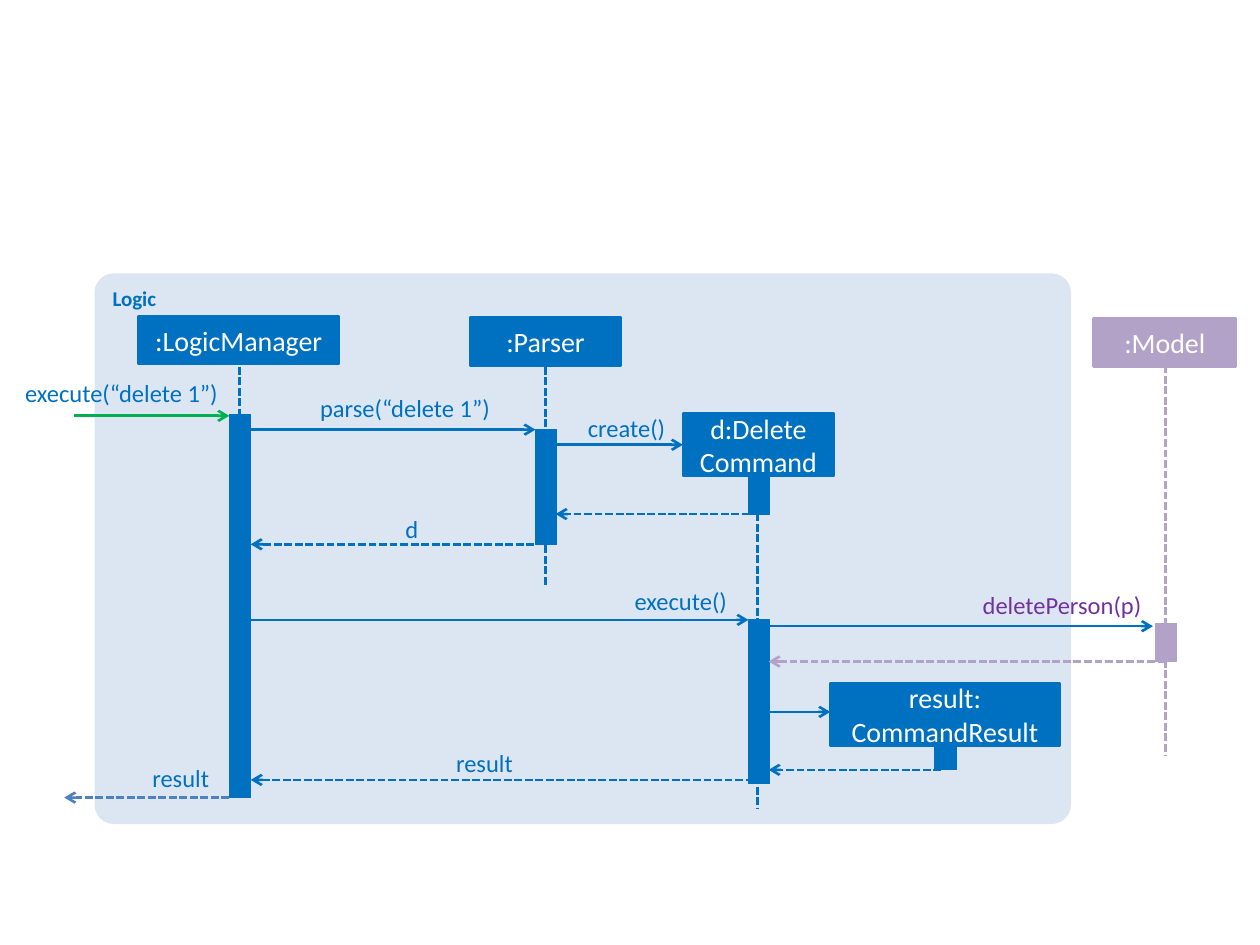
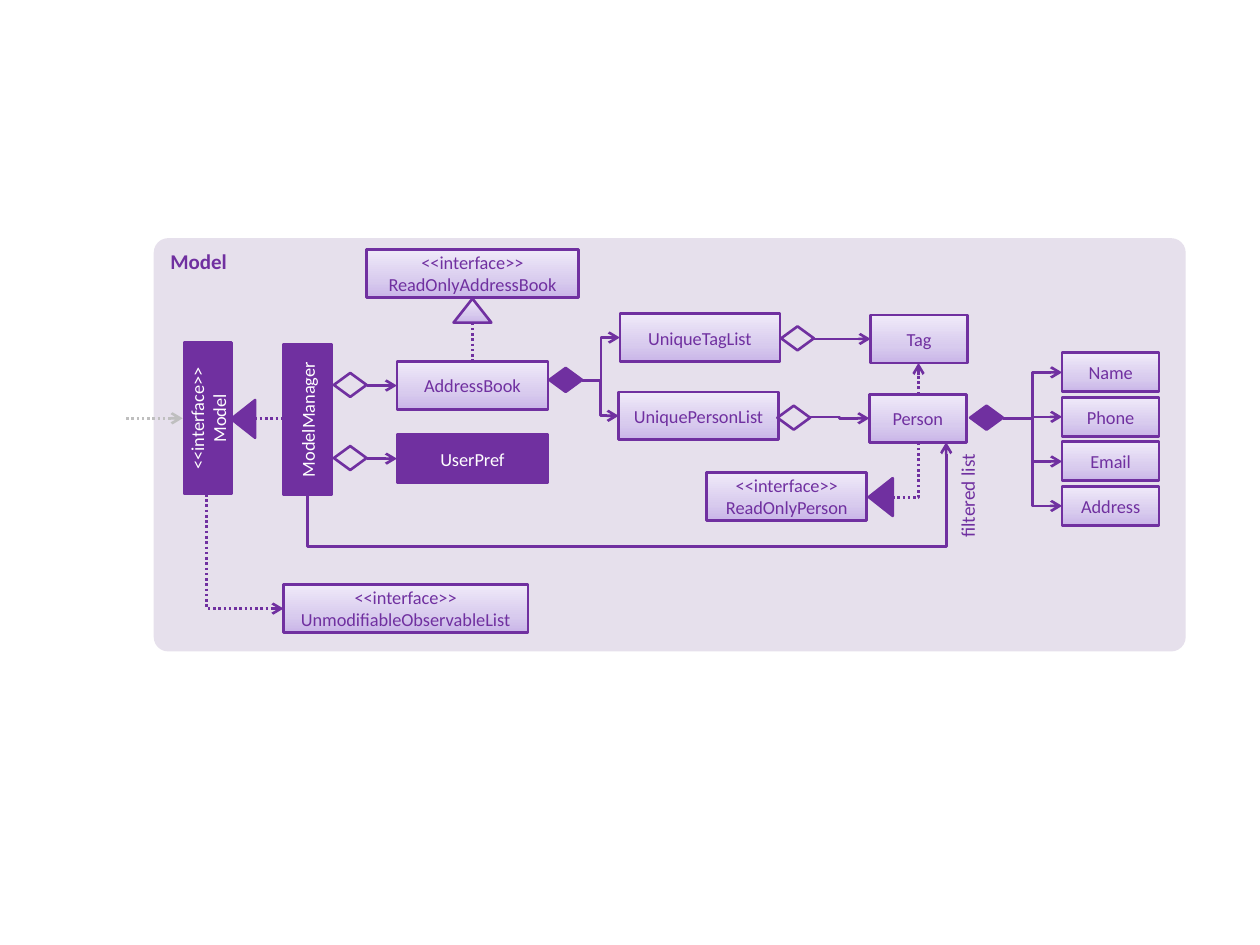
import copy

import pptx
import pptx.dml.color
import pptx.enum.dml
import pptx.enum.shapes
import pptx.enum.text
import pptx.oxml
import pptx.oxml.ns
import pptx.util

# Shared look
BLUE, SKY, STEEL = "0070C0", "DCE6F2", "4F81BD"
GRAPE, LILAC, MIST = "7030A0", "B3A2C7", "E6E0EC"
WHITE, GREEN, GRAY = "FFFFFF", "00B050", "BFBFBF"
SHADE = [(0, "C9B5E8"), (0.35, "D8CBEE"), (1, "F0EAF9")]
FONT = "Calibri"
COLS, ROWS = 100, 75  # the slide is a grid of tenths of an inch

KIND = pptx.enum.shapes.MSO_SHAPE
JOIN = pptx.enum.shapes.MSO_CONNECTOR
DASH = pptx.enum.dml.MSO_LINE
SIDE = pptx.enum.text.PP_ALIGN
ANCHOR = pptx.enum.text.MSO_ANCHOR
DASHES = {"dash": DASH.SQUARE_DOT, "dot": DASH.ROUND_DOT}


def hue(code):
    return pptx.dml.color.RGBColor.from_string(code)


def cell(count):
    return pptx.util.Inches(count / 10)


def write(frame, text, size=16, color=WHITE, bold=False,
          align=SIDE.CENTER, anchor=ANCHOR.MIDDLE):
    """Fill a frame; newline splits paragraphs, vertical tab breaks a line."""
    frame.text = text
    frame.word_wrap = True
    frame.vertical_anchor = anchor
    for para in frame.paragraphs:
        para.alignment = align
        for run in para.runs:
            run.font.name, run.font.size = FONT, pptx.util.Pt(size)
            run.font.bold, run.font.color.rgb = bold, hue(color)


def blend(shape):
    """Three-stop shade, darkest at the bottom."""
    shape.fill.gradient()
    shape.fill.gradient_angle = 90
    stops = shape._element.spPr.find(".//" + pptx.oxml.ns.qn("a:gsLst"))
    stops.append(copy.deepcopy(stops[0]))
    for stop, (place, code) in zip(shape.fill.gradient_stops, SHADE):
        stop.position, stop.color.rgb = place, hue(code)


def block(page, at, fill=None, line=None, width=1.5, kind=KIND.RECTANGLE,
          turn=0, text="", **form):
    shape = page.shapes.add_shape(kind, *map(cell, at))
    shape.shadow.inherit = False
    shape.rotation = turn
    if fill == SHADE:
        blend(shape)
    elif fill:
        shape.fill.solid()
        shape.fill.fore_color.rgb = hue(fill)
    else:
        shape.fill.background()
    if line:
        shape.line.color.rgb = hue(line)
        shape.line.width = pptx.util.Pt(width)
    else:
        shape.line.fill.background()
    if text:
        write(shape.text_frame, text, **form)
    return shape


def panel(page, at, fill, text, color):
    shape = block(page, at, fill, kind=KIND.ROUNDED_RECTANGLE, text=text,
                  size=12, color=color, bold=True, align=SIDE.LEFT,
                  anchor=ANCHOR.TOP)
    shape.adjustments[0] = 0.035


def label(page, at, text, pad=0, turn=0, **form):
    area = page.shapes.add_textbox(*map(cell, at))
    area.rotation = turn
    frame = area.text_frame
    if not pad:
        frame.margin_left = frame.margin_right = 0
        frame.margin_top = frame.margin_bottom = 0
    write(frame, text, align=SIDE.RIGHT, anchor=ANCHOR.TOP, **form)
    frame.auto_size = pptx.enum.text.MSO_AUTO_SIZE.SHAPE_TO_FIT_TEXT


def link(page, start, end, color, dash=None, arrow=True, bends=0,
         turn=0, flips="", tune=()):
    """Line from start to end; bends, turn and flips shape an elbow."""
    kind = JOIN.ELBOW if bends else JOIN.STRAIGHT
    wire = page.shapes.add_connector(kind, *map(cell, start + end))
    wire.line.color.rgb = hue(color)
    wire.line.width = pptx.util.Pt(1.5)
    if dash:
        wire.line.dash_style = DASHES[dash]
    prop = wire._element.spPr
    make = pptx.oxml.ns.qn
    if arrow:
        tip = wire.line._get_or_add_ln()
        tip.append(tip.makeelement(make("a:tailEnd"), {"type": "arrow"}))
    prop.append(prop.makeelement(make("a:effectLst"), {}))
    if bends:
        geom = prop.find(make("a:prstGeom"))
        geom.set("prst", f"bentConnector{bends + 1}")
        guides = geom.get_or_add_avLst()
        for index, value in enumerate(tune, 1):
            mark = {"name": f"adj{index}", "fmla": f"val {round(value * 1e5)}"}
            guides.append(guides.makeelement(make("a:gd"), mark))
    if turn:  # a quarter turn swaps the sides around the same centre
        wide, high = wire.width, wire.height
        wire.left += (wide - high) // 2
        wire.top += (high - wide) // 2
        wire.width, wire.height = high, wide
        frame = prop.find(make("a:xfrm"))
        frame.set("rot", str(turn * 60000))
        for axis in "HV":
            frame.set("flip" + axis, str(int(axis in flips)))


def logic(page):
    """Sequence of calls that deletes a person."""
    panel(page, (7.5, 21.7, 77.5, 43.7), SKY, "Logic", BLUE)

    # Lifelines
    for mid, top, low, color in [(19, 29.1, 57.5, BLUE),
                                 (43.3, 29.1, 46.5, BLUE),
                                 (60.1, 37.4, 64.2, BLUE),
                                 (92.5, 29, 60, LILAC)]:
        link(page, (mid, top), (mid, low), color, "dash", arrow=False)

    # Activation bars
    for left, top, high, color in [(18.2, 32.9, 30.4, BLUE),
                                   (42.5, 34.1, 9.1, BLUE),
                                   (59.4, 37.8, 3, BLUE),
                                   (59.4, 49.2, 13, BLUE),
                                   (74.2, 59.2, 1.9, BLUE),
                                   (91.7, 49.5, 3, LILAC)]:
        block(page, (left, top, 1.7, high), color, color, 0.75)

    # Objects
    for at, text, color in [
            ((11, 25.1, 15.9, 3.8), ":LogicManager", BLUE),
            ((37.3, 25.2, 12, 3.8), ":Parser", BLUE),
            ((54.2, 32.8, 12, 5), "d:Delete\vCommand", BLUE),
            ((65.9, 54.2, 18.2, 5), "result:\vCommandResult", BLUE),
            ((86.8, 25.3, 11.3, 3.8), ":Model", LILAC)]:
        block(page, at, color, color, text=text)

    # Calls, then returns
    for left, right, row, color in [(5.9, 18.2, 33, GREEN),
                                    (19.9, 42.5, 34.1, BLUE),
                                    (44.1, 54.2, 35.3, BLUE),
                                    (19.9, 59.4, 49.2, BLUE),
                                    (61, 91.5, 49.7, BLUE),
                                    (61, 65.9, 56.5, BLUE)]:
        link(page, (left, row), (right, row), color)
    for left, right, row, color in [(44.1, 59.5, 40.8, BLUE),
                                    (19.9, 42.4, 43.2, BLUE),
                                    (5.1, 18.2, 63.3, STEEL),
                                    (61, 92.5, 52.5, LILAC),
                                    (19.9, 59.8, 61.9, BLUE),
                                    (61, 74.7, 61.1, BLUE)]:
        link(page, (right, row), (left, row), color, "dash")

    # Message names
    for left, top, wide, text, color in [
            (1.7, 30, 15.6, "execute(“delete 1”)", BLUE),
            (23.3, 31.2, 15.6, "parse(“delete 1”)", BLUE),
            (45.8, 32.8, 7, "create()", BLUE),
            (30.8, 40.8, 2.4, "d", BLUE),
            (48.3, 46.5, 9.4, "execute()", BLUE),
            (75, 46.8, 15.6, "deletePerson(p)", GRAPE),
            (33.9, 59.4, 6.8, "result", BLUE),
            (8.3, 60.6, 8.3, "result", BLUE)]:
        label(page, (left, top, wide, 2.4), text, size=14, color=color)


def model(page):
    """Classes of the model and how they hold each other."""
    panel(page, (12.2, 18.9, 81.9, 32.8), MIST, "Model", GRAPE)

    # Solid classes
    for left, top, turn, text in [(31.5, 34.5, 0, "UserPref"),
                                  (18.4, 31.4, 270, "ModelManager"),
                                  (10.5, 31.3, 270, "<<interface>>\nModel")]:
        block(page, (left, top, 12, 3.8), GRAPE, GRAPE, turn=turn,
              text=text, size=10.5)

    # Shaded classes
    tag = "<<interface>>\v"
    shaded = [((31.5, 28.7, 12, 3.8), "AddressBook"),
              ((49.1, 31.1, 12.7, 3.8), "UniquePersonList"),
              ((49.2, 24.9, 12.7, 3.8), "UniqueTagList"),
              ((69, 31.3, 7.7, 3.8), "Person"),
              ((69.1, 25, 7.7, 3.8), "Tag"),
              ((56.1, 37.5, 12.7, 3.8), tag + "ReadOnlyPerson"),
              ((29.1, 19.8, 16.8, 3.8), tag + "ReadOnlyAddressBook"),
              ((22.5, 46.4, 19.4, 3.8), tag + "UnmodifiableObservableList")]
    fields = ["Name", "Phone", "Email", "Address"]
    for index, text in enumerate(fields):
        top = 28 + 3.53 * index
        shaded.append(((84.3, top, 7.7, 3.1), text))
        link(page, (79.6, 33.2), (84.3, top + 1.56), GRAPE, bends=2)
    for at, text in shaded:
        block(page, at, SHADE, GRAPE, text=text, size=10.5, color=GRAPE)

    # Diamonds: filled for parts, hollow for shared items
    for left, top, fill in [(26.5, 35.4, None), (26.5, 29.6, None),
                            (61.7, 32.2, None), (62, 25.9, None),
                            (43.6, 29.2, GRAPE), (77, 32.2, GRAPE)]:
        block(page, (left, top, 2.6, 1.9), fill, GRAPE,
              kind=KIND.FLOWCHART_DECISION)

    # Links that hold
    for start, end, bends in [((29.1, 36.4), (31.5, 36.4), 0),
                              ((29.1, 30.6), (31.5, 30.6), 0),
                              ((46.2, 30.2), (49.1, 33), 2),
                              ((46.2, 30.2), (49.2, 26.8), 2),
                              ((64.3, 33.1), (69, 33.2), 2),
                              ((64.6, 26.9), (69.1, 26.9), 0)]:
        link(page, start, end, GRAPE, bends=bends)
    link(page, (24.4, 39.2), (75.1, 35.1), GRAPE, bends=3,
         turn=90, flips="HV", tune=(-1.02, 1))

    # Links that depend or implement
    link(page, (10, 33.2), (14.5, 33.2), GRAY, "dot")
    link(page, (72.9, 31.3), (72.9, 28.8), GRAPE, "dot")
    link(page, (16.4, 39.2), (22.5, 48.3), GRAPE, "dot", bends=1,
         turn=270, flips="H")
    link(page, (20.2, 33.2), (22.6, 33.2), GRAPE, "dot", arrow=False)
    link(page, (37.5, 25.6), (37.5, 28.8), GRAPE, "dot", arrow=False)
    link(page, (70.8, 39.5), (72.9, 35), GRAPE, "dot", arrow=False, bends=1)
    for left, top, turn, fill in [(17.8, 32.3, 270, GRAPE),
                                  (68.4, 38.5, 270, GRAPE),
                                  (36, 23.7, 0, SHADE)]:
        block(page, (left, top, 3, 1.9), fill, GRAPE, turn=turn,
              kind=KIND.ISOSCELES_TRIANGLE)

    label(page, (72, 38.4, 9.6, 2.9), "filtered list", pad=1, turn=270,
          size=11, color=GRAPE)


def main():
    deck = pptx.Presentation()
    deck.slide_width, deck.slide_height = cell(COLS), cell(ROWS)
    for draw in (logic, model):
        draw(deck.slides.add_slide(deck.slide_layouts[6]))
    deck.save("out.pptx")


main()
